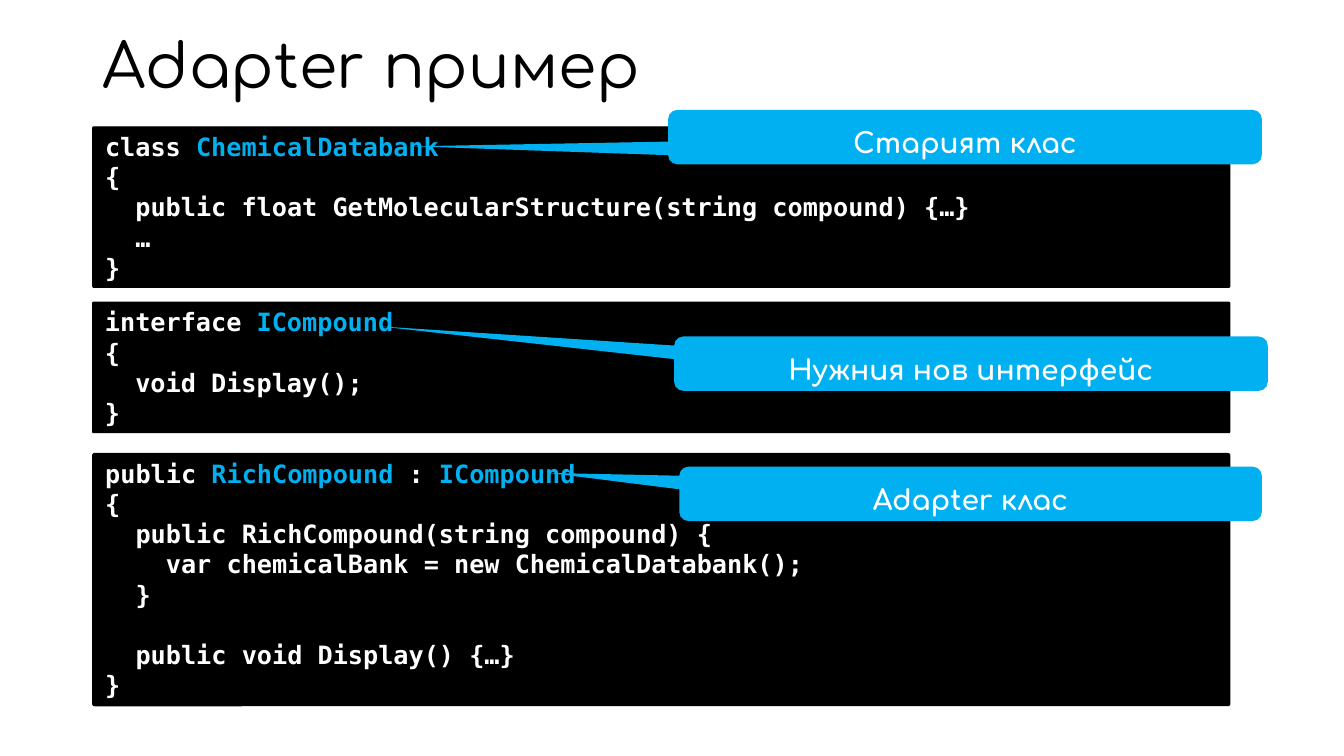
from pptx import Presentation
from pptx.dml.color import RGBColor
from pptx.enum.shapes import MSO_SHAPE as SHAPE
from pptx.enum.text import MSO_ANCHOR as ANCHOR, MSO_AUTO_SIZE as AUTO, PP_ALIGN as ALIGN
from pptx.util import Cm, Pt

BLACK = RGBColor(0x00, 0x00, 0x00)
WHITE = RGBColor(0xFF, 0xFF, 0xFF)
BLUE = RGBColor(0x00, 0xB0, 0xF0)
HEAD_FONT = "Comfortaa"
CODE_FONT = "DejaVu Sans Mono"

CODE_BLOCKS = [
    (3.2, 4.04, """class |ChemicalDatabank
{
  public float GetMolecularStructure(string compound) {…}
  …
}"""),
    (7.62, 3.28, """interface |ICompound
{
  void Display();
}"""),
    (11.43, 6.35, """public |RichCompound| : |ICompound
{
  public RichCompound(string compound) {
    var chemicalBank = new ChemicalDatabank();
  }

  public void Display() {…}
}"""),
]

CALLOUTS = [
    ("Старият клас", 16.84, 2.77, 14.96, (-0.929, 0.17)),
    ("Нужния нов интерфейс", 16.99, 8.48, 14.96, (-0.998, -0.688)),
    ("Adapter клас", 17.12, 11.76, 14.68, (-0.724, -0.384)),
]


def add_box(slide, kind, left, top, width, height, fill):
    sp = slide.shapes.add_shape(kind, Cm(left), Cm(top), Cm(width), Cm(height))
    sp.shadow.inherit = False
    sp.fill.solid()
    sp.fill.fore_color.rgb = fill
    tf = sp.text_frame
    tf.word_wrap = True
    tf.auto_size = AUTO.SHAPE_TO_FIT_TEXT
    tf.vertical_anchor = ANCHOR.TOP
    return sp


def style_run(r, font, size, color, bold):
    r.font.name = font
    r.font.size = Pt(size)
    r.font.color.rgb = color
    r.font.bold = bold


prs = Presentation()
prs.slide_width = Cm(33.87)
prs.slide_height = Cm(19.05)
slide = prs.slides.add_slide(prs.slide_layouts[6])

title = slide.shapes.add_textbox(Cm(2.34), Cm(0.64), Cm(28.52), Cm(2.18))
tf = title.text_frame
tf.word_wrap = True
tf.vertical_anchor = ANCHOR.MIDDLE
p = tf.paragraphs[0]
p.text = "Adapter пример"
p.line_spacing = 0.9
style_run(p.runs[0], HEAD_FONT, 44, BLACK, False)

for top, height, code in CODE_BLOCKS:
    sp = add_box(slide, SHAPE.ROUNDED_RECTANGLE, 2.34, top, 28.65, height, BLACK)
    sp.adjustments[0] = 0.007
    sp.line.color.rgb = BLACK
    sp.line.width = Pt(1)
    tf = sp.text_frame
    tf.margin_left = tf.margin_right = Cm(0.3)
    tf.margin_top = tf.margin_bottom = Cm(0.1)
    for i, line in enumerate(code.split("\n")):
        p = tf.add_paragraph() if i else tf.paragraphs[0]
        p.alignment = ALIGN.LEFT
        for j, part in enumerate(line.split("|")):
            r = p.add_run()
            r.text = part
            style_run(r, CODE_FONT, 18, BLUE if j % 2 else WHITE, True)

for label, left, top, width, tip in CALLOUTS:
    sp = add_box(slide, SHAPE.ROUNDED_RECTANGULAR_CALLOUT, left, top, width, 1.37, BLUE)
    sp.line.fill.background()
    sp.adjustments[0], sp.adjustments[1] = tip
    sp.adjustments[2] = 0.167
    p = sp.text_frame.paragraphs[0]
    p.text = label
    p.alignment = ALIGN.CENTER
    p.line_spacing = Pt(30)
    style_run(p.runs[0], HEAD_FONT, 20, WHITE, True)

prs.save("out.pptx")
